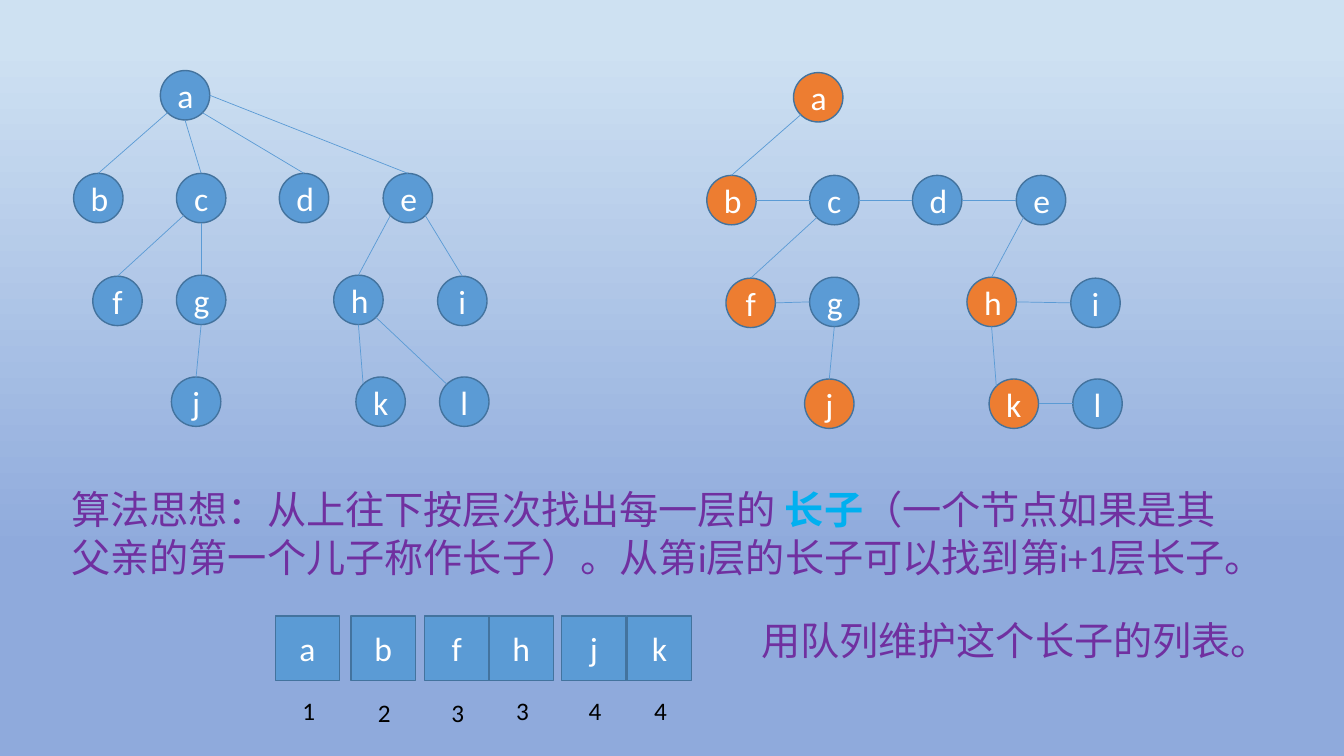
import math

import lxml.etree
import pptx
import pptx.dml.color
import pptx.enum.shapes
import pptx.enum.text
import pptx.oxml.ns
import pptx.util

PX = 9144
NODE_SIZE = 49
CELL_SIZE = 64
TOP, TOP_LEFT, LEFT, BOTTOM_LEFT, BOTTOM, BOTTOM_RIGHT, RIGHT = range(7)
BLUE, ORANGE, OUTLINE = "5B9BD5", "ED7D31", "43739E"
WHITE, BLACK, PURPLE, SKY = "FFFFFF", "000000", "7030A0", "00B0F0"

NODES = {
    "a": (159, 70),
    "b": (73, 172), "c": (175, 172), "d": (277, 172), "e": (380, 172),
    "f": (92, 274), "g": (175, 273), "h": (331, 273), "i": (434, 274),
    "j": (170, 374), "k": (353, 374), "l": (436, 374),
}
CHILD_EDGES = [
    ("a", BOTTOM_LEFT, "b", TOP), ("a", BOTTOM, "c", TOP),
    ("a", BOTTOM_RIGHT, "d", TOP), ("a", RIGHT, "e", TOP),
    ("c", BOTTOM_LEFT, "f", TOP), ("c", BOTTOM, "g", TOP),
    ("e", BOTTOM_LEFT, "h", TOP), ("e", BOTTOM_RIGHT, "i", TOP),
    ("g", BOTTOM, "j", TOP), ("h", BOTTOM, "k", TOP_LEFT),
    ("h", BOTTOM_RIGHT, "l", TOP_LEFT),
]
SIBLING_EDGES = [
    ("a", BOTTOM_LEFT, "b", TOP), ("b", RIGHT, "c", LEFT),
    ("f", RIGHT, "g", LEFT), ("c", RIGHT, "d", LEFT),
    ("c", BOTTOM_LEFT, "f", TOP), ("e", BOTTOM_LEFT, "h", TOP),
    ("h", RIGHT, "i", LEFT), ("g", BOTTOM, "j", TOP),
    ("h", BOTTOM, "k", TOP_LEFT), ("k", RIGHT, "l", LEFT),
    ("d", RIGHT, "e", LEFT),
]
QUEUE = [
    ("a", "1", 273, 685), ("b", "2", 348, 687), ("f", "3", 421, 687),
    ("h", "3", 485, 685), ("j", "4", 557, 685), ("k", "4", 622, 685),
]


def px(length):
    return pptx.util.Emu(round(length * PX))


def color(value):
    return pptx.dml.color.RGBColor.from_string(value)


def format_run(run, size, text_color, bold=False):
    run.font.name = "Calibri"
    run.font.size = pptx.util.Pt(size)
    run.font.bold = bold
    run.font.color.rgb = color(text_color)


def add_labeled_shape(shapes, kind, label, left, top, size, fill):
    shape = shapes.add_shape(kind, px(left), px(top), px(size), px(size))
    shape.shadow.inherit = False
    shape.fill.solid()
    shape.fill.fore_color.rgb = color(fill)
    shape.line.color.rgb = color(OUTLINE)
    shape.line.width = pptx.util.Pt(1)
    frame = shape.text_frame
    frame.text = label
    frame.vertical_anchor = pptx.enum.text.MSO_ANCHOR.MIDDLE
    paragraph = frame.paragraphs[0]
    paragraph.alignment = pptx.enum.text.PP_ALIGN.CENTER
    format_run(paragraph.runs[0], 24, WHITE)
    return shape


def add_text(slide, left, top, width, height, parts, size):
    box = slide.shapes.add_textbox(px(left), px(top), px(width), px(height))
    frame = box.text_frame
    frame.word_wrap = True
    frame.auto_size = pptx.enum.text.MSO_AUTO_SIZE.SHAPE_TO_FIT_TEXT
    for text, text_color, bold in parts:
        run = frame.paragraphs[0].add_run()
        run.text = text
        format_run(run, size, text_color, bold)


def rim_point(node, site):
    angle = math.radians(-90 - 45 * site)
    radius = node.width / 2
    x = node.left + radius * (1 + math.cos(angle))
    y = node.top + radius * (1 + math.sin(angle))
    return pptx.util.Emu(round(x)), pptx.util.Emu(round(y))


def add_edge(shapes, start, start_site, end, end_site):
    connector = shapes.add_connector(
        pptx.enum.shapes.MSO_CONNECTOR.STRAIGHT,
        *rim_point(start, start_site), *rim_point(end, end_site))
    if end_site == TOP:
        connector.end_connect(end, TOP)
    connector.line.color.rgb = color(BLUE)
    connector.line.width = pptx.util.Pt(0.5)
    lxml.etree.SubElement(connector._element.spPr, pptx.oxml.ns.qn("a:effectLst"))


def add_tree(shapes, shift_x, shift_y, edges, eldest=""):
    oval = pptx.enum.shapes.MSO_SHAPE.OVAL
    nodes = {}
    for name, (left, top) in NODES.items():
        fill = ORANGE if name in eldest else BLUE
        nodes[name] = add_labeled_shape(
            shapes, oval, name, left + shift_x, top + shift_y, NODE_SIZE, fill)
    for parent, parent_site, child, child_site in edges:
        add_edge(shapes, nodes[parent], parent_site, nodes[child], child_site)


def add_queue(slide):
    rectangle = pptx.enum.shapes.MSO_SHAPE.RECTANGLE
    for name, level, left, level_top in QUEUE:
        add_labeled_shape(slide.shapes, rectangle, name, left, 611, CELL_SIZE, BLUE)
        add_text(slide, left + 17, level_top, CELL_SIZE, 41, [(level, BLACK, False)], 18)


def set_background(slide):
    fill = slide.background.fill
    fill.gradient()
    fill.gradient_angle = 270
    for stop, (position, value) in zip(
            fill.gradient_stops, [(0.06, "CEE1F2"), (0.73, "8FAADC")]):
        stop.position = position
        stop.color.rgb = color(value)


def main():
    presentation = pptx.Presentation()
    presentation.slide_width = px(1333)
    presentation.slide_height = px(750)
    slide = presentation.slides.add_slide(presentation.slide_layouts[6])
    set_background(slide)
    add_tree(slide.shapes.add_group_shape().shapes, 0, 0, CHILD_EDGES)
    add_tree(slide.shapes, 628, 2, SIBLING_EDGES, eldest="abfhjk")
    add_text(slide, 61, 477, 1170, 104, [
        ("算法思想：从上往下按层次找出每一层的 ", PURPLE, False),
        ("长子", SKY, True),
        ("（一个节点如果是其父亲的第一个儿子称作长子）。"
         "从第i层的长子可以找到第i+1层长子。", PURPLE, False),
    ], 28)
    add_queue(slide)
    add_text(slide, 745, 607, 514, 57, [("用队列维护这个长子的列表。", PURPLE, False)], 28)
    presentation.save("out.pptx")


if __name__ == "__main__":
    main()
